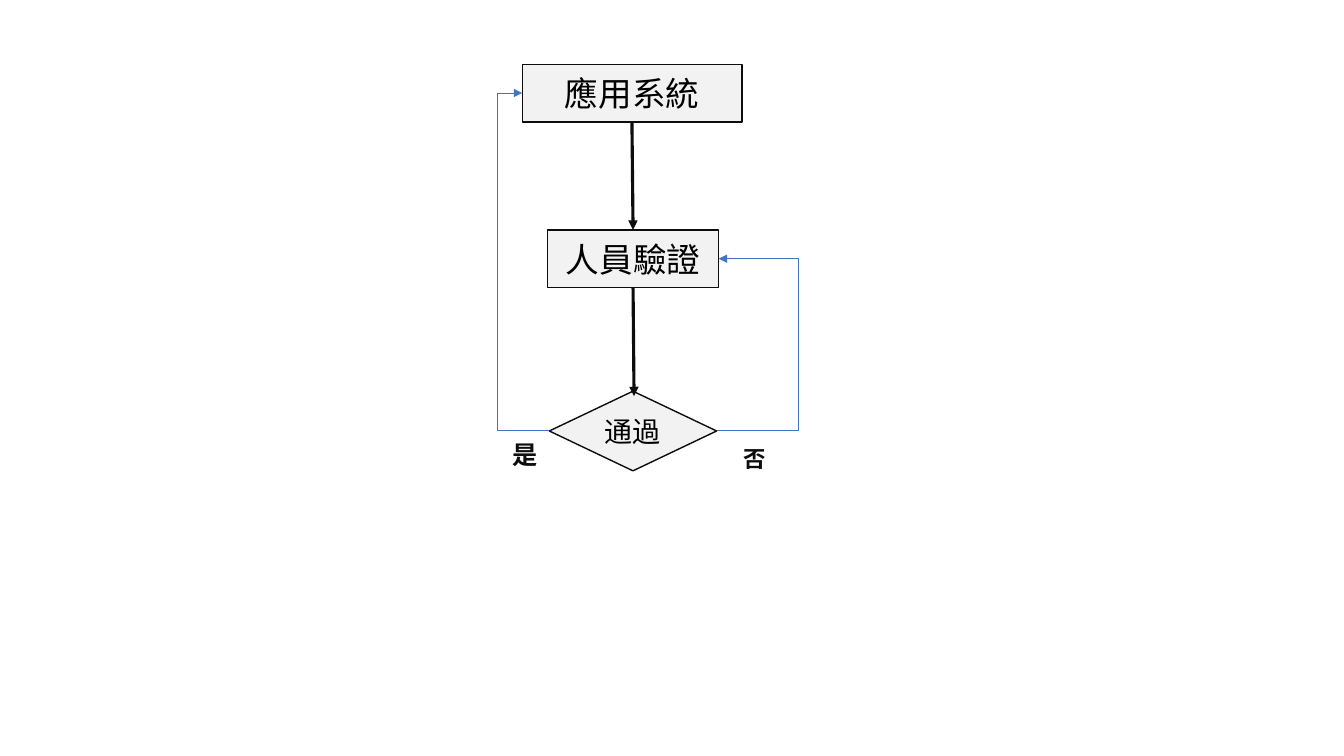
from dataclasses import dataclass
from typing import Any, Optional

import pptx
import pptx.dml.color
import pptx.enum.dml
import pptx.enum.shapes
import pptx.enum.text
import pptx.oxml
import pptx.oxml.ns
import pptx.util

Pt = pptx.util.Pt
RGB = pptx.dml.color.RGBColor
Kind = pptx.enum.shapes.MSO_SHAPE
Link = pptx.enum.shapes.MSO_CONNECTOR
Align = pptx.enum.text.PP_ALIGN
Anchor = pptx.enum.text.MSO_ANCHOR
Fit = pptx.enum.text.MSO_AUTO_SIZE
Sub = pptx.oxml.ns.qn

INK = RGB(0x0D, 0x0D, 0x0D)
BLACK = RGB(0x00, 0x00, 0x00)
PALE = RGB(0xF2, 0xF2, 0xF2)
BLUE = RGB(0x44, 0x72, 0xC4)
FONT = "Noto Sans CJK SC"


@dataclass(frozen=True)
class Node:
    text: str
    kind: Any
    left: float
    top: float
    width: float
    height: float
    size: float = 24


@dataclass(frozen=True)
class Label:
    text: str
    left: float
    top: float
    width: float
    height: float
    size: float


@dataclass(frozen=True)
class Arrow:
    start: tuple[float, float]
    end: tuple[float, float]
    color: RGB = INK
    weight: float = 2.25
    bend: Optional[float] = None


NODES = [
    Node("應用系統", Kind.RECTANGLE, 373, 46.1, 157, 41),
    Node("人員驗證", Kind.RECTANGLE, 391, 164.2, 122.4, 41),
    Node("通過", Kind.DIAMOND, 392.4, 279.4, 119.5, 56.9, 20),
]
LABELS = [
    Label("是", 359.3, 310.3, 31.7, 28.8, 18),
    Label("否", 524.2, 314.6, 76.3, 26.6, 16),
]
ARROWS = [
    Arrow((451.4, 87.1), (452.2, 164.2)),
    Arrow((452.2, 205.2), (452.9, 283)),
    Arrow((392.4, 307.4), (373, 66.5), BLUE, 0.5, 355),
    Arrow((511.9, 307.4), (513.4, 184.8), BLUE, 0.5, 570.2),
]


def style(item: Any, looks: dict[str, Any]) -> None:
    for name, value in looks.items():
        setattr(item, name, value)


def write(frame: Any, text: str, looks: dict[str, Any]) -> None:
    run = frame.paragraphs[0].add_run()
    run.text = text
    color = looks.pop("color")
    style(run.font, {"name": FONT, **looks})
    run.font.color.rgb = color
    east = pptx.oxml.parse_xml(
        f'<a:ea {pptx.oxml.ns.nsdecls("a")} typeface="{FONT}"/>'
    )
    run.font._element.find(Sub("a:latin")).addnext(east)


def draw_node(slide: Any, node: Node) -> None:
    shape = slide.shapes.add_shape(
        node.kind, Pt(node.left), Pt(node.top), Pt(node.width), Pt(node.height)
    )
    shape.shadow.inherit = False
    shape.fill.solid()
    shape.fill.fore_color.rgb = PALE
    shape.line.color.rgb = INK
    shape.line.width = Pt(1)
    frame = shape.text_frame
    style(frame, {"word_wrap": True, "vertical_anchor": Anchor.MIDDLE})
    frame.paragraphs[0].alignment = Align.CENTER
    write(frame, node.text, {"size": Pt(node.size), "color": BLACK})


def draw_label(slide: Any, label: Label) -> None:
    box = slide.shapes.add_textbox(
        Pt(label.left), Pt(label.top), Pt(label.width), Pt(label.height)
    )
    frame = box.text_frame
    style(frame, {"word_wrap": True, "auto_size": Fit.SHAPE_TO_FIT_TEXT})
    write(frame, label.text, {"size": Pt(label.size), "bold": True, "color": INK})


def draw_arrow(slide: Any, arrow: Arrow) -> None:
    kind = Link.STRAIGHT if arrow.bend is None else Link.ELBOW
    ends = [Pt(value) for value in (*arrow.start, *arrow.end)]
    line = slide.shapes.add_connector(kind, *ends)
    line.line.color.rgb = arrow.color
    line.line.width = Pt(arrow.weight)
    names = pptx.oxml.ns.nsdecls("a")
    props = line._element.spPr
    props.find(Sub("a:ln")).append(
        pptx.oxml.parse_xml(f'<a:tailEnd {names} type="triangle"/>')
    )
    props.append(pptx.oxml.parse_xml(f"<a:effectLst {names}/>"))
    if arrow.bend is not None:
        first, last = arrow.start[0], arrow.end[0]
        ratio = round((arrow.bend - first) / (last - first) * 100000)
        geom = props.find(Sub("a:prstGeom"))
        geom.find(Sub("a:avLst")).append(
            pptx.oxml.parse_xml(f'<a:gd {names} name="adj1" fmla="val {ratio}"/>')
        )


def main() -> None:
    deck = pptx.Presentation()
    style(deck, {"slide_width": Pt(960), "slide_height": Pt(540)})
    slide = deck.slides.add_slide(deck.slide_layouts[6])
    for node in NODES:
        draw_node(slide, node)
    for arrow in ARROWS:
        draw_arrow(slide, arrow)
    for label in LABELS:
        draw_label(slide, label)
    deck.save("out.pptx")


if __name__ == "__main__":
    main()
